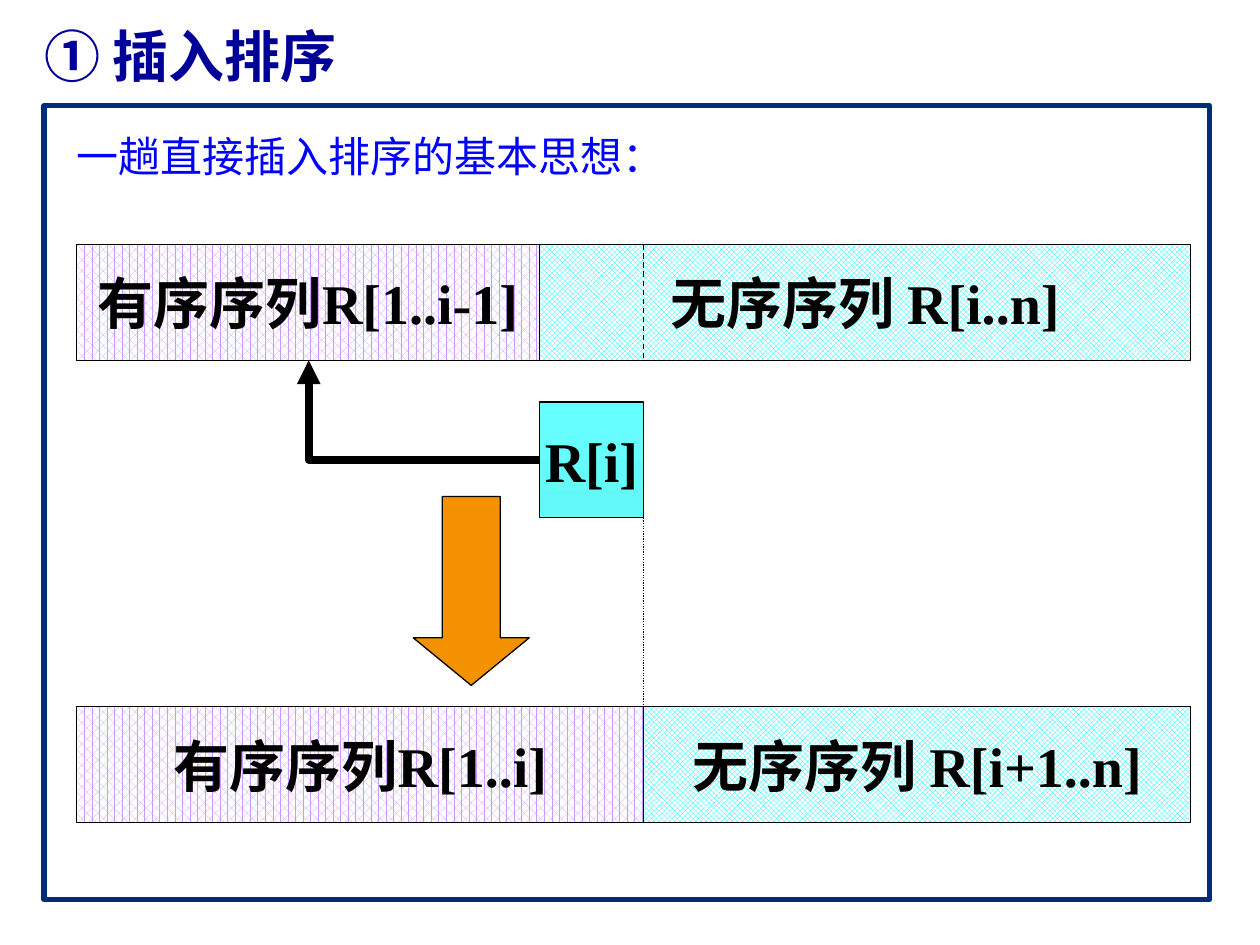
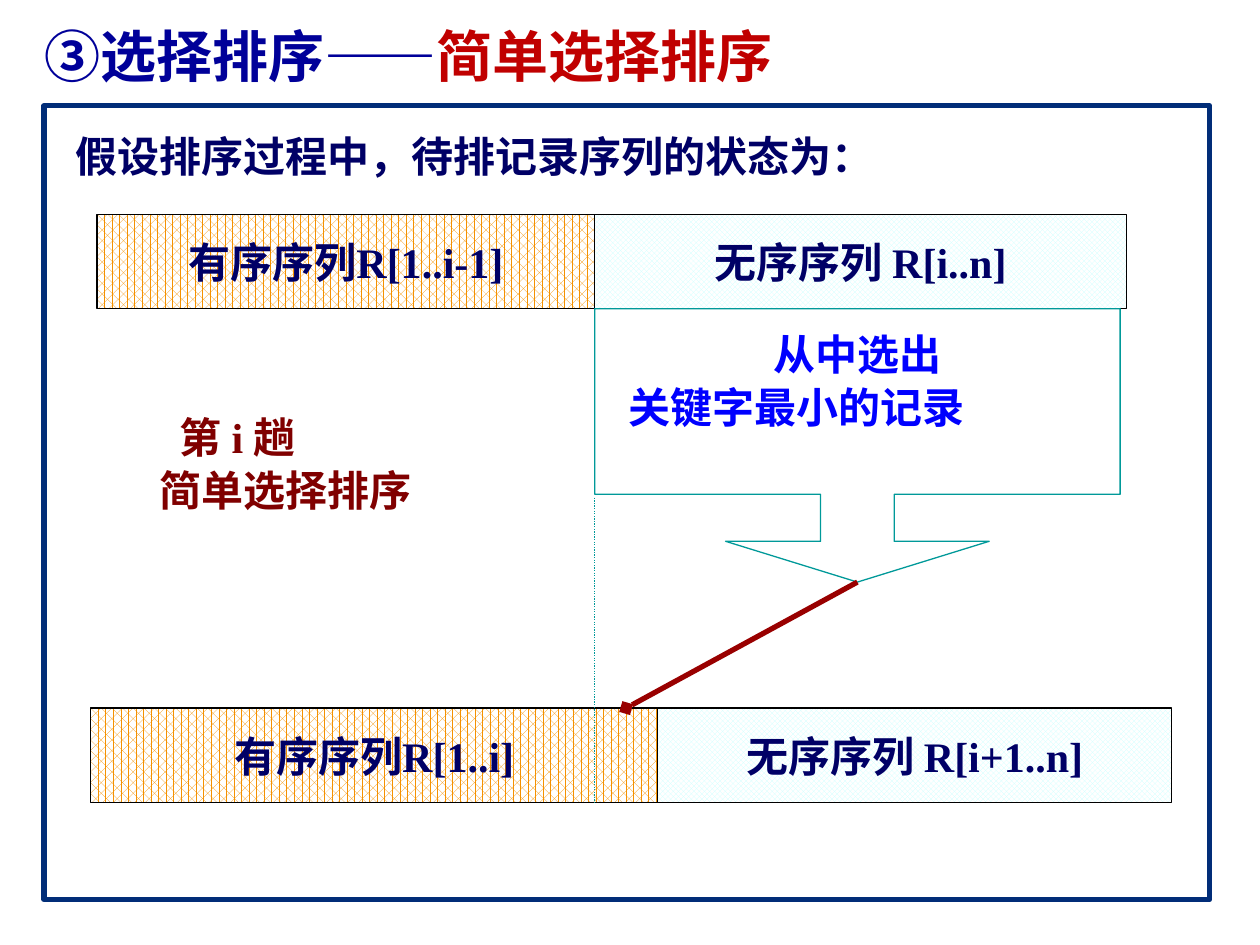
"""Build two slides on insertion sort and simple selection sort."""
from dataclasses import dataclass
from typing import Optional

from lxml.etree import SubElement
from pptx import Presentation
from pptx.dml.color import RGBColor
from pptx.enum.dml import MSO_LINE, MSO_PATTERN
from pptx.enum.shapes import MSO_CONNECTOR, MSO_SHAPE
from pptx.enum.text import MSO_ANCHOR, PP_ALIGN
from pptx.oxml.ns import qn
from pptx.util import Inches, Pt

FONT = "Times New Roman"
BLACK = RGBColor(0x00, 0x00, 0x00)
WHITE = RGBColor(0xFF, 0xFF, 0xFF)
FRAME = RGBColor(0x01, 0x2D, 0x78)
TITLE = RGBColor(0x00, 0x00, 0x99)
TITLE_RED = RGBColor(0xC0, 0x00, 0x00)
BLUE = RGBColor(0x00, 0x00, 0xFF)
NAVY = RGBColor(0x00, 0x00, 0x66)
MAROON = RGBColor(0x80, 0x00, 0x00)
DARK_RED = RGBColor(0x99, 0x00, 0x00)
TEAL = RGBColor(0x00, 0x99, 0x99)
ORANGE = RGBColor(0xF4, 0x91, 0x00)
LILAC = RGBColor(0xCC, 0x99, 0xFF)
CYAN = RGBColor(0x00, 0xFF, 0xFF)
PALE_CYAN = RGBColor(0xCC, 0xFF, 0xFF)
RECORD_TOP = RGBColor(0x66, 0xFF, 0xFF)
RECORD_BOTTOM = RGBColor(0x63, 0xF8, 0xF8)


@dataclass(frozen=True)
class Style:
    size: float
    color: RGBColor
    bold: bool = True


@dataclass(frozen=True)
class Line:
    text: str
    align: Optional[PP_ALIGN] = None
    indent: float = 0


@dataclass(frozen=True)
class Scheme:
    sorted_color: RGBColor
    unsorted_color: RGBColor
    height: float
    style: Style


@dataclass(frozen=True)
class Sequence:
    left: float
    split: float
    right: float
    top: float
    sorted_range: str
    unsorted_range: str


def style_run(r, style: Style) -> None:
    r.font.name = FONT
    r.font.size = Pt(style.size)
    r.font.bold = style.bold
    r.font.color.rgb = style.color


def add_box(slide, kind: MSO_SHAPE, left: float, top: float, width: float, height: float,
            line: RGBColor = BLACK, weight: float = 0.75):
    sp = slide.shapes.add_shape(kind, Inches(left), Inches(top), Inches(width), Inches(height))
    sp.shadow.inherit = False
    sp.fill.background()
    sp.line.color.rgb = line
    sp.line.width = Pt(weight)
    return sp


def fill_solid(sp, color: RGBColor) -> None:
    sp.fill.solid()
    sp.fill.fore_color.rgb = color


def fill_pattern(sp, pattern: MSO_PATTERN, color: RGBColor) -> None:
    sp.fill.patterned()
    sp.fill.pattern = pattern
    sp.fill.fore_color.rgb = color
    sp.fill.back_color.rgb = WHITE


def add_label(sp, text: str, style: Style) -> None:
    tf = sp.text_frame
    tf.text = text
    tf.word_wrap = False
    tf.vertical_anchor = MSO_ANCHOR.MIDDLE
    p = tf.paragraphs[0]
    p.alignment = PP_ALIGN.CENTER
    style_run(p.runs[0], style)


def add_text(slide, left: float, top: float, width: float, height: float, lines: list[Line],
             style: Style, wrap: bool = True, spacing: float = 1.0) -> None:
    box = slide.shapes.add_textbox(Inches(left), Inches(top), Inches(width), Inches(height))
    tf = box.text_frame
    tf.text = "\n".join(line.text for line in lines)
    tf.word_wrap = wrap
    for p, line in zip(tf.paragraphs, lines):
        p.alignment = line.align
        p.line_spacing = spacing
        if line.indent:
            p._p.get_or_add_pPr().set("marL", str(Inches(line.indent)))
        style_run(p.runs[0], style)


def add_line(slide, x1: float, y1: float, x2: float, y2: float, color: RGBColor = BLACK,
             weight: float = 0.75, dash: Optional[MSO_LINE] = None, tail: str = "",
             kind: MSO_CONNECTOR = MSO_CONNECTOR.STRAIGHT):
    cn = slide.shapes.add_connector(kind, Inches(x1), Inches(y1), Inches(x2), Inches(y2))
    cn.line.color.rgb = color
    cn.line.width = Pt(weight)
    if dash is not None:
        cn.line.dash_style = dash
    if tail:
        SubElement(cn.line._get_or_add_ln(), qn("a:tailEnd"), type=tail)
    SubElement(cn._element.spPr, qn("a:effectLst"))
    return cn


def add_corner_arrow(slide, left: float, top: float, right: float, bottom: float) -> None:
    cn = add_line(slide, left, top, right, bottom, weight=4.5, tail="triangle",
                  kind=MSO_CONNECTOR.ELBOW)
    cn._element.spPr.find(qn("a:prstGeom")).set("prst", "bentConnector2")
    cn._element.spPr.find(qn("a:xfrm")).set("rot", "10800000")


def add_sequence(slide, seq: Sequence, scheme: Scheme) -> None:
    parts = (
        (seq.left, seq.split, MSO_PATTERN.PERCENT_60, scheme.sorted_color,
         f"有序序列{seq.sorted_range}"),
        (seq.split, seq.right, MSO_PATTERN.TRELLIS, scheme.unsorted_color,
         f"无序序列 {seq.unsorted_range}"),
    )
    for left, right, pattern, color, text in parts:
        sp = add_box(slide, MSO_SHAPE.RECTANGLE, left, seq.top, right - left, scheme.height)
        fill_pattern(sp, pattern, color)
        add_label(sp, text, scheme.style)


def add_framed_slide(prs, title: str, accent: str = ""):
    slide = prs.slides.add_slide(prs.slide_layouts[6])
    frame = add_box(slide, MSO_SHAPE.RECTANGLE, 0.35, 0.84, 9.25, 6.3, FRAME, 3)
    fill_solid(frame, WHITE)
    box = slide.shapes.add_textbox(Inches(0.35), Inches(0.13), Inches(9.25), Inches(0.62))
    tf = box.text_frame
    tf.word_wrap = True
    tf.vertical_anchor = MSO_ANCHOR.MIDDLE
    tf.margin_left = tf.margin_right = tf.margin_top = tf.margin_bottom = 0
    p = tf.paragraphs[0]
    p.alignment = PP_ALIGN.JUSTIFY
    for text, color in ((title, TITLE), (accent, TITLE_RED)):
        if text:
            r = p.add_run()
            r.text = text
            style_run(r, Style(32, color))
    return slide


def build_insertion(prs) -> None:
    slide = add_framed_slide(prs, "① 插入排序")
    scheme = Scheme(LILAC, CYAN, 0.92, Style(32, BLACK))
    before = Sequence(0.61, 4.28, 9.45, 1.94, "R[1..i-1]", "R[i..n]")
    after = Sequence(0.61, 5.11, 9.45, 5.61, "R[1..i]", "R[i+1..n]")
    add_text(slide, 0.51, 0.99, 4.94, 0.5, [Line("一趟直接插入排序的基本思想：")],
             Style(24, BLUE, False), wrap=False)
    for seq in (before, after):
        add_sequence(slide, seq, scheme)

    record_top = 3.19
    record_bottom = record_top + scheme.height
    record = add_box(slide, MSO_SHAPE.RECTANGLE, before.split, record_top,
                     after.split - before.split, scheme.height)
    record.fill.gradient()
    record.fill.gradient_angle = 270
    for stop, color in zip(record.fill.gradient_stops, (RECORD_TOP, RECORD_BOTTOM)):
        stop.color.rgb = color
    add_label(record, "R[i]", scheme.style)

    before_bottom = before.top + scheme.height
    add_corner_arrow(slide, 2.45, before_bottom, before.split, record_top + scheme.height / 2)
    arrow = add_box(slide, MSO_SHAPE.DOWN_ARROW, 3.28, 3.94, 0.92, 1.5)
    arrow.adjustments[1] = 0.41
    fill_solid(arrow, ORANGE)
    add_line(slide, after.split, before.top, after.split, before_bottom, dash=MSO_LINE.DASH)
    add_line(slide, after.split, record_bottom, after.split, after.top,
             dash=MSO_LINE.ROUND_DOT)


def build_selection(prs) -> None:
    slide = add_framed_slide(prs, "③选择排序——", "简单选择排序")
    scheme = Scheme(ORANGE, PALE_CYAN, 0.75, Style(24, NAVY))
    before = Sequence(0.77, 4.72, 8.94, 1.7, "R[1..i-1]", "R[i..n]")
    after = Sequence(0.72, 5.22, 9.3, 5.62, "R[1..i]", "R[i+1..n]")
    add_text(slide, 0.5, 0.99, 6.63, 0.5, [Line("假设排序过程中，待排记录序列的状态为：")],
             scheme.style, wrap=False)
    for seq in (before, after):
        add_sequence(slide, seq, scheme)

    add_text(slide, 1.17, 3.2, 3.39, 0.95, [Line("第 i 趟", indent=0.16), Line("简单选择排序")],
             Style(24, MAROON), spacing=1.05)
    add_text(slide, 4.89, 2.54, 3.83, 0.95,
             [Line("从中选出", PP_ALIGN.CENTER), Line("关键字最小的记录")],
             Style(24, BLUE), spacing=1.05)

    top, width, height = before.top + scheme.height, 4.17, 2.17
    callout = add_box(slide, MSO_SHAPE.DOWN_ARROW_CALLOUT, before.split, top, width, height, TEAL)
    for i, value in enumerate((0.269, 0.482, 0.149, 0.679)):
        callout.adjustments[i] = value
    add_line(slide, before.split + width / 2, top + height, 4.97, after.top, DARK_RED, 3,
             tail="diamond")
    add_line(slide, before.split, 3.95, before.split, after.top + scheme.height, TEAL,
             dash=MSO_LINE.ROUND_DOT)


def main() -> None:
    prs = Presentation()
    prs.slide_width, prs.slide_height = Inches(10), Inches(7.5)
    build_insertion(prs)
    build_selection(prs)
    prs.save("out.pptx")


main()
